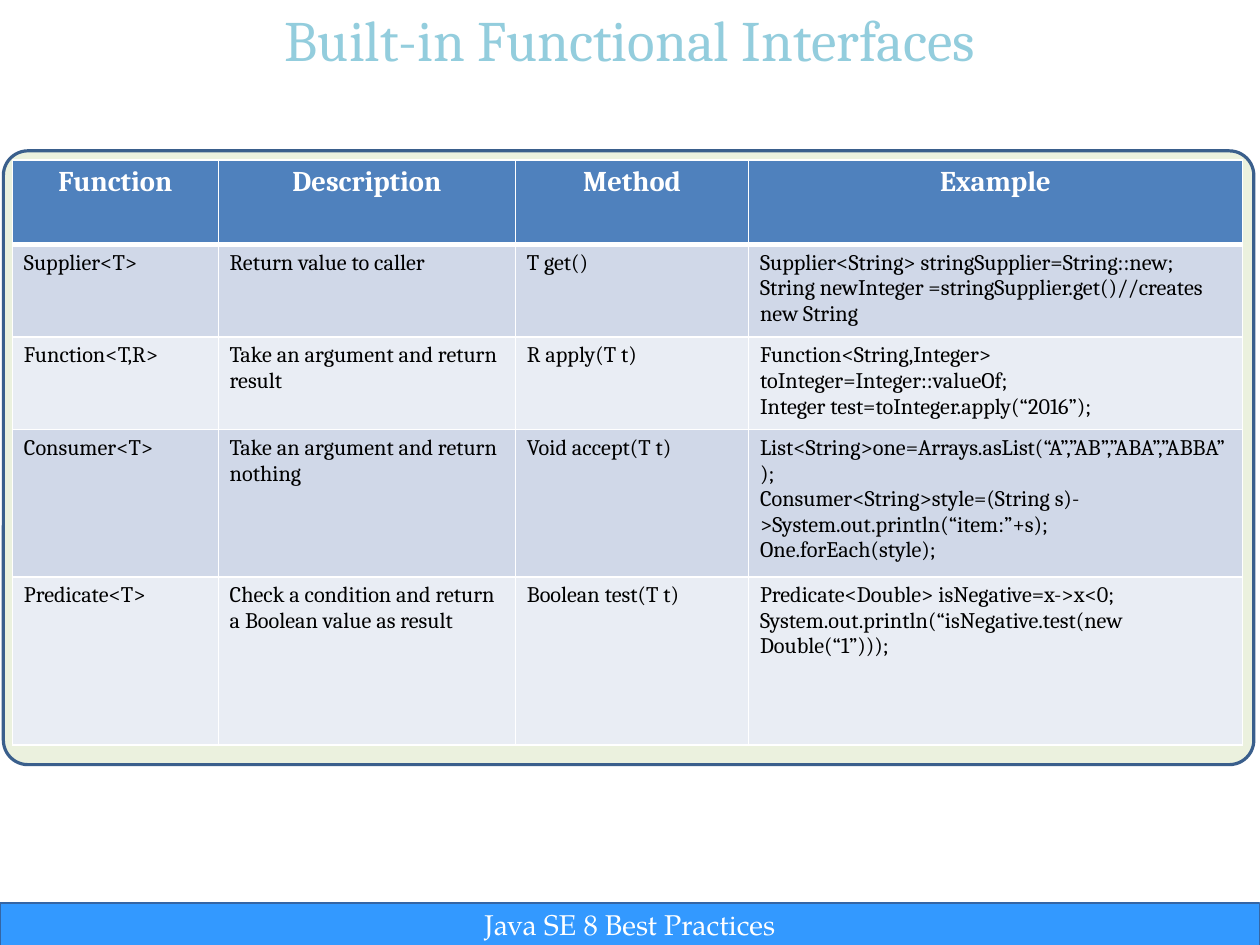
from lxml import etree
from pptx import Presentation
from pptx.dml.color import RGBColor
from pptx.enum.shapes import MSO_SHAPE
from pptx.enum.text import MSO_ANCHOR, PP_ALIGN
from pptx.oxml.ns import qn
from pptx.util import Inches, Pt

RECT, ROUND = MSO_SHAPE.RECTANGLE, MSO_SHAPE.ROUNDED_RECTANGLE
CENTER, LEFT = PP_ALIGN.CENTER, PP_ALIGN.LEFT
MIDDLE = MSO_ANCHOR.MIDDLE

# Slide of 28 by 21 cm, in inches
WIDE, HIGH = 28 / 2.54, 21 / 2.54

COLORS = {
    "title": "93CDDD", "panel": "EBF1DE", "edge": "3A5F8C",
    "head": "4F81BD", "odd": "D0D8E8", "even": "E9EDF4",
    "bar": "3399FF", "rim": "3465A4", "white": "FFFFFF", "black": "000000",
}

# Font formats
TITLE = {"name": "Cambria", "size": Pt(36)}
HEAD = {"name": "Cambria", "size": Pt(18), "bold": True}
BODY = {"name": "Cambria", "size": Pt(14), "bold": False}
FOOT = {"name": "TeX Gyre Pagella", "size": Pt(18)}

# Table content: a line break starts a new paragraph
WIDTHS = [1.8, 2.6, 2.04, 4.32]
HEIGHTS = [0.74, 0.81, 0.81, 1.29, 1.47]
ROWS = [
    ["Function", "Description", "Method", "Example"],
    ["Supplier<T>", "Return value to caller", "T get()",
     "Supplier<String> stringSupplier=String::new;\n"
     "String newInteger =stringSupplier.get()//creates new String"],
    ["Function<T,R>", "Take an argument and return result", "R apply(T t)",
     "Function<String,Integer> toInteger=Integer::valueOf;\n"
     "Integer test=toInteger.apply(“2016”);"],
    ["Consumer<T>", "Take an argument and return nothing", "Void accept(T t)",
     "List<String>one=Arrays.asList(“A”,”AB”,”ABA”,”ABBA”);\n"
     "Consumer<String>style=(String s)->System.out.println(“item:”+s);\n"
     "One.forEach(style);"],
    ["Predicate<T>", "Check a condition and return a Boolean value as result",
     "Boolean test(T t)",
     "Predicate<Double> isNegative=x->x<0;\n"
     "System.out.println(“isNegative.test(new Double(“1”)));"],
]


def color(name):
    return RGBColor.from_string(COLORS[name])


def paint(item, name):
    item.fill.solid()
    item.fill.fore_color.rgb = color(name)


def write(frame, text, style, ink, align=LEFT):
    frame.text = text
    for para in frame.paragraphs:
        para.alignment = align
        for run in para.runs:
            for key, value in style.items():
                setattr(run.font, key, value)
            run.font.color.rgb = color(ink)


def add_box(slide, kind, area, fill, line, width):
    box = slide.shapes.add_shape(kind, *map(Inches, area))
    box.shadow.inherit = False
    paint(box, fill)
    box.line.color.rgb = color(line)
    box.line.width = Pt(width)
    return box


def add_title(slide, text):
    box = slide.shapes.add_textbox(0, 0, Inches(WIDE), Inches(0.75))
    frame = box.text_frame
    layout = {"word_wrap": True, "vertical_anchor": MIDDLE, "margin_left": 0,
              "margin_right": 0, "margin_top": 0, "margin_bottom": 0}
    for key, value in layout.items():
        setattr(frame, key, value)
    write(frame, text, TITLE, "title", CENTER)
    frame.paragraphs[0].line_spacing = 0.9


def add_edges(cell, widths):
    props = cell._tc.get_or_add_tcPr()
    for side, width in widths.items():
        line = etree.SubElement(props, qn("a:ln" + side), w=str(Pt(width)))
        solid = etree.SubElement(line, qn("a:solidFill"))
        etree.SubElement(solid, qn("a:srgbClr"), val=COLORS["white"])


def add_grid(slide):
    frame = slide.shapes.add_table(
        len(ROWS), len(WIDTHS), Inches(0.11), Inches(1.4),
        Inches(sum(WIDTHS)), Inches(sum(HEIGHTS)))
    table = frame.table
    for col, width in zip(table.columns, WIDTHS):
        col.width = Inches(width)
    for i, (row, height, texts) in enumerate(zip(table.rows, HEIGHTS, ROWS)):
        row.height = Inches(height)
        top, low = (3 if i == 1 else 1), (3 if i == 0 else 1)
        for cell, text in zip(row.cells, texts):
            add_edges(cell, {"L": 1, "R": 1, "T": top, "B": low})
            if i == 0:
                paint(cell, "head")
                write(cell.text_frame, text, HEAD, "white", CENTER)
            else:
                paint(cell, "odd" if i % 2 else "even")
                write(cell.text_frame, text, BODY, "black")


def main():
    deck = Presentation()
    deck.slide_width, deck.slide_height = Inches(WIDE), Inches(HIGH)
    slide = deck.slides.add_slide(deck.slide_layouts[6])

    add_title(slide, "Built-in Functional Interfaces")

    # Panel with the table on it
    panel = add_box(slide, ROUND, (0.03, 1.32, 10.94, 5.37), "panel", "edge", 2)
    panel.adjustments[0] = 0.04
    add_grid(slide)

    # Footer bar
    bar = add_box(slide, RECT, (0, 7.9, WIDE, 0.37), "bar", "rim", 0.75)
    bar.text_frame.word_wrap = False
    bar.text_frame.vertical_anchor = MIDDLE
    write(bar.text_frame, "Java SE 8 Best Practices", FOOT, "white", CENTER)

    deck.save("out.pptx")


if __name__ == "__main__":
    main()
